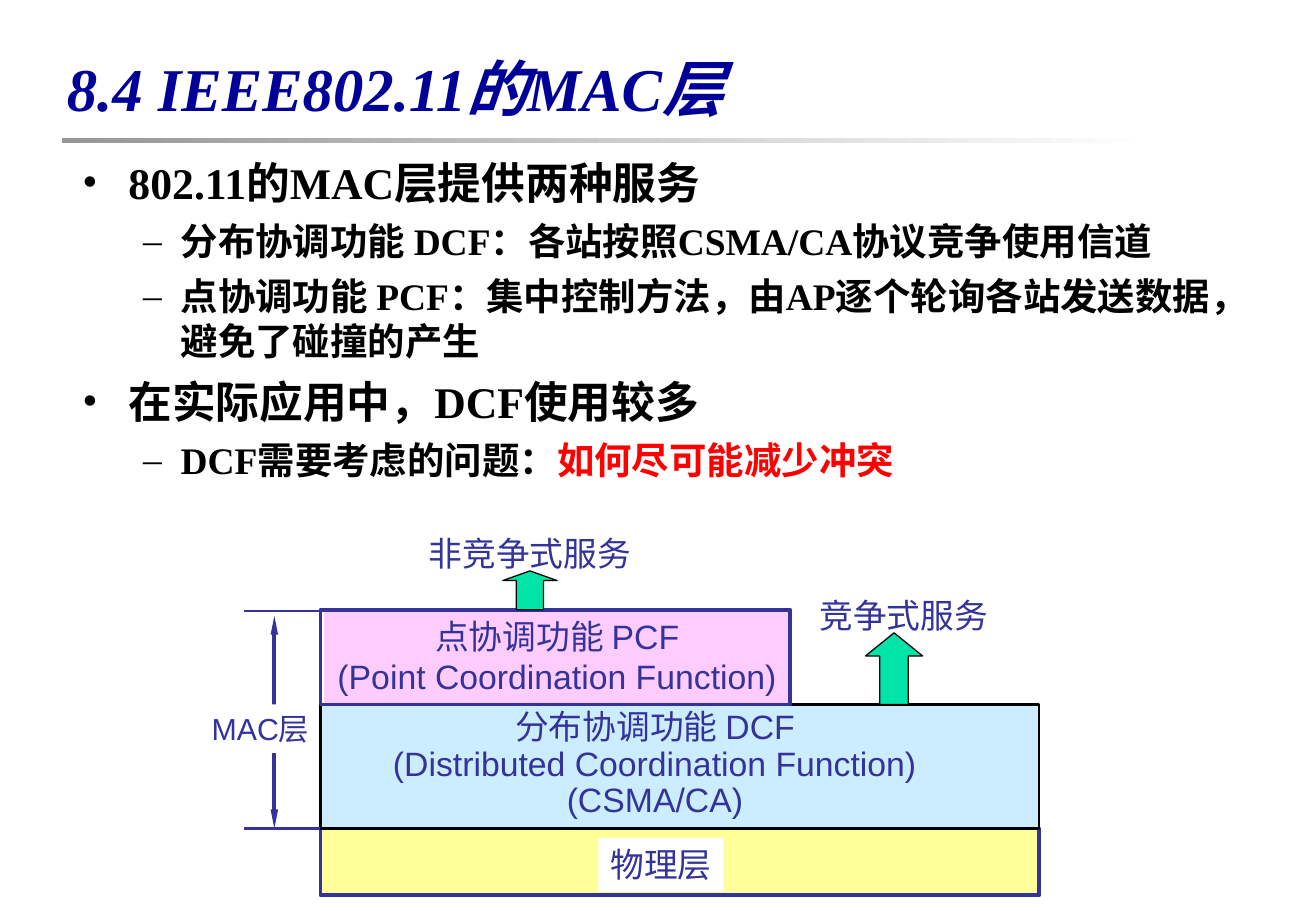
from dataclasses import dataclass

from pptx import Presentation
from pptx import util as u
from pptx.dml.color import RGBColor
from pptx.enum import shapes, text
from pptx.oxml import parse_xml
from pptx.oxml.ns import nsdecls


@dataclass(frozen=True)
class Theme:
    """Colours, fonts and type sizes of the slide."""

    title: str = "000099"
    ink: str = "000000"
    accent: str = "FF0000"
    label: str = "333399"
    paper: str = "FFFFFF"
    rule: str = "969696"
    pcf: str = "FFCCFF"
    dcf: str = "CCECFF"
    physical: str = "FFFF99"
    arrow: str = "00E4A8"
    serif: str = "Times New Roman"
    sans: str = "Arial"
    title_size: float = 36
    topic_size: float = 25.9
    detail_size: float = 22.2
    label_size: float = 20
    small_size: float = 18


class SlideBuilder:
    """Places styled elements on a grid of 0.1 inch cells."""

    def __init__(self, deck, theme):
        self.theme = theme
        self.page = deck.slides.add_slide(deck.slide_layouts[5])

    def cells(self, *counts):
        return [u.Inches(count / 10) for count in counts]

    def span(self, para, words, size, color, font, bold=False, italic=False):
        span = para.add_run()
        span.text = words
        span.font.size = u.Pt(size)
        span.font.name = font
        span.font.color.rgb = RGBColor.from_string(color)
        span.font.bold = bold
        span.font.italic = italic

    def title(self, area, words):
        box = self.page.shapes.title
        box.left, box.top, box.width, box.height = self.cells(*area)
        frame = box.text_frame
        frame.auto_size = text.MSO_AUTO_SIZE.NONE
        frame.vertical_anchor = text.MSO_ANCHOR.MIDDLE
        para = frame.paragraphs[0]
        para.alignment = text.PP_ALIGN.LEFT
        self.span(para, words, self.theme.title_size, self.theme.title,
                  self.theme.serif, bold=True, italic=True)

    def shape(self, kind, area, fill=None, line=None, weight=2.25):
        box = self.page.shapes.add_shape(kind, *self.cells(*area))
        box.shadow.inherit = False
        if fill:
            box.fill.solid()
            box.fill.fore_color.rgb = RGBColor.from_string(fill)
        else:
            box.fill.background()
        if line:
            box.line.color.rgb = RGBColor.from_string(line)
            box.line.width = u.Pt(weight)
        else:
            box.line.fill.background()
        return box

    def block(self, area, fill=None, line=None, weight=2.25):
        return self.shape(shapes.MSO_SHAPE.RECTANGLE, area, fill, line, weight)

    def up_arrow(self, area, head):
        arrow = self.shape(shapes.MSO_SHAPE.UP_ARROW, area,
                           self.theme.arrow, self.theme.ink, 0.75)
        arrow.adjustments[0] = 0.5
        arrow.adjustments[1] = head

    def fading_rule(self, area):
        fill = self.block(area).fill
        fill.gradient()
        fill.gradient_angle = 0
        for stop, color, place in zip(fill.gradient_stops, (self.theme.rule, self.theme.paper), (0, 1)):
            stop.color.rgb = RGBColor.from_string(color)
            stop.position = place

    def line(self, start, end, weight, heads=False):
        link = self.page.shapes.add_connector(
            shapes.MSO_CONNECTOR.STRAIGHT, *self.cells(*start, *end))
        link.line.color.rgb = RGBColor.from_string(self.theme.label)
        link.line.width = u.Pt(weight)
        if heads:
            stroke = link.line._get_or_add_ln()
            for end_tag in ("headEnd", "tailEnd"):
                stroke.append(parse_xml(
                    f'<a:{end_tag} {nsdecls("a")} type="triangle" w="sm" len="lg"/>'))
        link._element.spPr.append(parse_xml(f'<a:effectLst {nsdecls("a")}/>'))

    def label(self, area, lines, size=None, fill=None, spacing=1.0, inset=0.04):
        box = self.page.shapes.add_textbox(*self.cells(*area))
        if fill:
            box.fill.solid()
            box.fill.fore_color.rgb = RGBColor.from_string(fill)
        frame = box.text_frame
        frame.word_wrap = True
        frame.auto_size = text.MSO_AUTO_SIZE.NONE
        frame.margin_left = frame.margin_right = u.Inches(inset)
        for index, words in enumerate(lines):
            para = frame.add_paragraph() if index else frame.paragraphs[0]
            para.alignment = text.PP_ALIGN.CENTER
            para.line_spacing = spacing
            self.span(para, words, size or self.theme.label_size,
                      self.theme.label, self.theme.sans)

    def outline(self, area, items):
        levels = ((self.theme.topic_size, 7, "•", 0.38, 0.38),
                  (self.theme.detail_size, 6, "–", 0.81, 0.31))
        frame = self.page.shapes.add_textbox(*self.cells(*area)).text_frame
        frame.word_wrap = True
        for index, (level, pieces) in enumerate(items):
            size, before, mark, indent, hang = levels[level]
            para = frame.add_paragraph() if index else frame.paragraphs[0]
            para.level = level
            para.space_before = u.Pt(before)
            props = para._p.get_or_add_pPr()
            props.set("marL", str(u.Inches(indent)))
            props.set("indent", str(-u.Inches(hang)))
            for bullet in (
                f'<a:buClr {nsdecls("a")}><a:srgbClr val="{self.theme.ink}"/></a:buClr>',
                f'<a:buFont {nsdecls("a")} typeface="{self.theme.serif}"/>',
                f'<a:buChar {nsdecls("a")} char="{mark}"/>',
            ):
                props.append(parse_xml(bullet))
            for words, color in pieces:
                self.span(para, words, size, color, self.theme.serif, bold=True)


def main():
    deck = Presentation()
    deck.slide_width, deck.slide_height = u.Inches(10.84), u.Inches(7.5)
    theme = Theme()
    slide = SlideBuilder(deck, theme)

    slide.fading_rule((5.1, 11.4, 90, 0.35))
    slide.title((4.5, 2.8, 98.4, 8.7), "8.4 IEEE802.11的MAC层")
    slide.outline((5.8, 12.3, 96.5, 29.5), [
        (0, [("802.11的MAC层提供两种服务", theme.ink)]),
        (1, [("分布协调功能 DCF：各站按照CSMA/CA协议竞争使用信道", theme.ink)]),
        (1, [("点协调功能 PCF：集中控制方法，由AP逐个轮询各站发送数据，避免了碰撞的产生", theme.ink)]),
        (0, [("在实际应用中，DCF使用较多", theme.ink)]),
        (1, [("DCF需要考虑的问题：", theme.ink), ("如何尽可能减少冲突", theme.accent)]),
    ])

    left, width, pcf_width = 26.4, 59.2, 38.7
    pcf_top, dcf_top, physical_top, bottom = 50.2, 58, 68.2, 73.7
    pcf_height = dcf_top - pcf_top

    slide.line((22.6, pcf_top + 0.5), (22.6, physical_top), 2.25, heads=True)
    slide.label((16.5, dcf_top, 9.9, 4), ["MAC层"], theme.small_size, theme.paper)
    slide.label((32.6, 43.4, 22.1, 4.4), ["非竞争式服务"])
    slide.block((left, physical_top, width, bottom - physical_top), theme.physical, theme.label)
    slide.block((left, dcf_top, width, physical_top - dcf_top), theme.dcf, theme.ink, 1.5)
    slide.block((left + 0.3, pcf_top, pcf_width - 0.2, pcf_height), theme.pcf)
    slide.label((66.5, 48.5, 15.9, 4.4), ["竞争式服务"])
    slide.label((30.4, dcf_top, 47.1, 10),
                ["分布协调功能 DCF", "(Distributed Coordination Function)", "(CSMA/CA)"],
                spacing=0.9)
    slide.label((26.8, pcf_top, 38.2, 7.7), ["点协调功能 PCF", "(Point Coordination Function)"])
    slide.block((left, pcf_top, pcf_width, pcf_height), line=theme.label)
    slide.label((49.3, 69, 10.3, 4.4), ["物理层"], fill=theme.paper)
    for level in (pcf_top + 0.1, physical_top):
        slide.line((20.1, level), (left, level), 1.5)
    slide.up_arrow((71.3, 52.1, 4.7, dcf_top - 52.1), 0.405)
    slide.up_arrow((41.4, 47, 4.5, pcf_top - 47), 0.25)

    deck.save("out.pptx")


if __name__ == "__main__":
    main()
